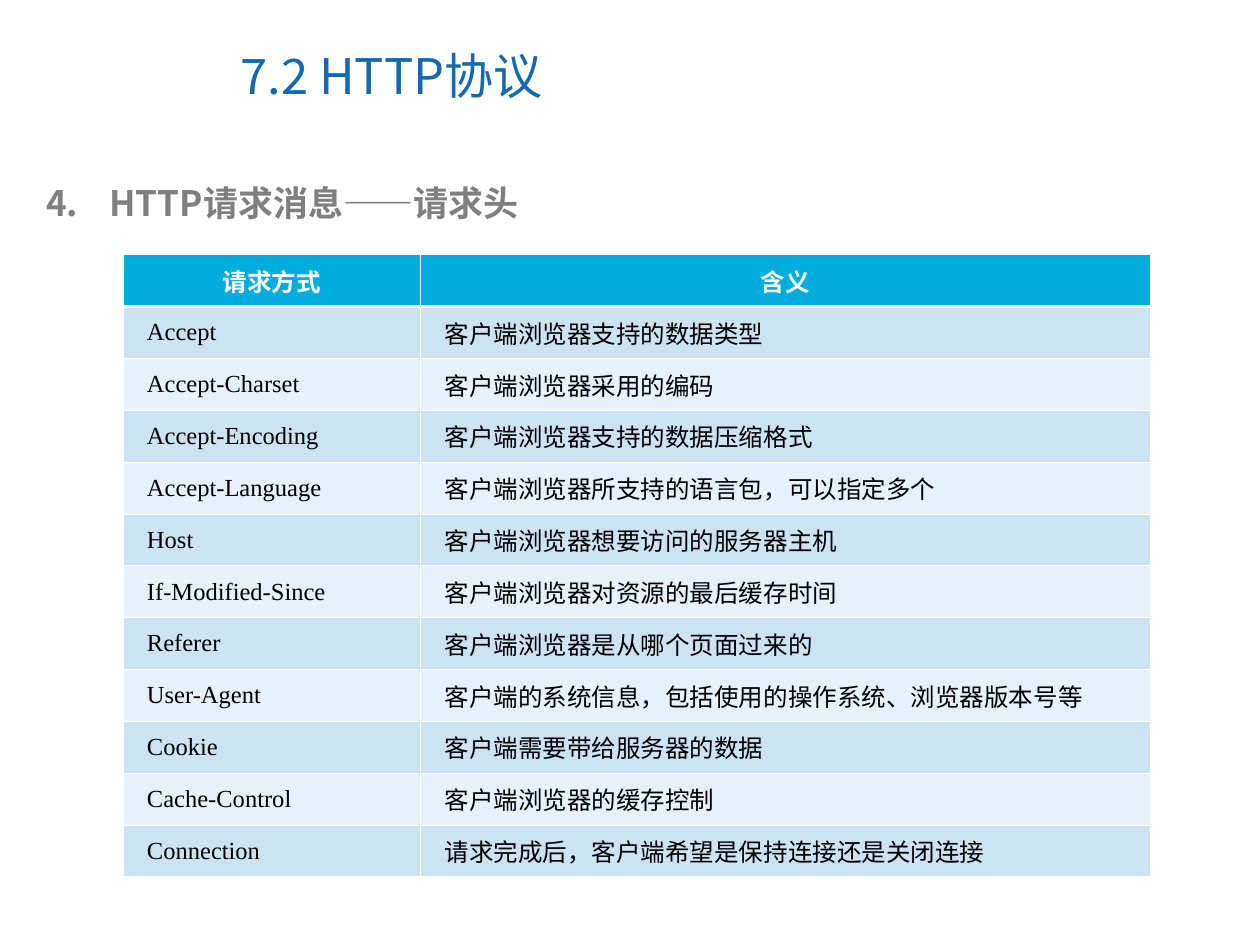
from lxml import etree
from pptx import Presentation, util as u
from pptx.dml.color import RGBColor
from pptx.enum import text
from pptx.oxml import ns

# Content
TITLE = "7.2 HTTP协议"
HEADING, HEADING_NUMBER = "HTTP请求消息——请求头", 4
COLUMNS = ("请求方式", "含义")
HEADERS = [
    ("Accept", "客户端浏览器支持的数据类型"),
    ("Accept-Charset", "客户端浏览器采用的编码"),
    ("Accept-Encoding", "客户端浏览器支持的数据压缩格式"),
    ("Accept-Language", "客户端浏览器所支持的语言包，可以指定多个"),
    ("Host", "客户端浏览器想要访问的服务器主机"),
    ("If-Modified-Since", "客户端浏览器对资源的最后缓存时间"),
    ("Referer", "客户端浏览器是从哪个页面过来的"),
    ("User-Agent", "客户端的系统信息，包括使用的操作系统、浏览器版本号等"),
    ("Cookie", "客户端需要带给服务器的数据"),
    ("Cache-Control", "客户端浏览器的缓存控制"),
    ("Connection", "请求完成后，客户端希望是保持连接还是关闭连接"),
]

THEME = {
    "cjk": "Noto Sans CJK SC", "serif": "Times New Roman", "sans": "Arial",
    "title": "1369B2", "heading": "7F7F7F", "ink": "000000", "white": "FFFFFF",
    "header": "00ADDC", "bands": ("CBE3F2", "E7F1F9"),
    "title_size": 28, "heading_size": 20, "cell_size": 14,
    "thin": 0.45, "thick": 1.47,
}

# Layout in points
TITLE_BOX = (130.3, 12.2, 371.5, 61.2)
HEADING_BOX = (19.4, 100.1, 663.8, 31.7)
TABLE_LEFT, TABLE_TOP = 70.2, 145.6
COLUMN_WIDTHS = (170, 417)
ROW_HEIGHT = 29.65
CELL_MARGIN, CELL_INDENT, HEADING_INDENT = 5.4, 8.4, 36


def add_run(paragraph, words, size, colour, font, bold=False):
    run = paragraph.add_run()
    run.text = words
    run.font.size = u.Pt(size)
    run.font.bold = bold
    run.font.color.rgb = RGBColor.from_string(colour)
    run.font.name = font
    east_asian = etree.SubElement(run.font._element, ns.qn("a:ea"))
    east_asian.set("typeface", THEME["cjk"])


def add_frame(slide, box, anchor):
    frame = slide.shapes.add_textbox(*map(u.Pt, box)).text_frame
    frame.word_wrap = True
    frame.vertical_anchor = anchor
    return frame


def indent(paragraph, left, first=0):
    properties = paragraph._p.get_or_add_pPr()
    properties.set("marL", str(u.Pt(left)))
    properties.set("indent", str(u.Pt(first)))
    return properties


def number(paragraph, start, colour):
    properties = indent(paragraph, HEADING_INDENT, -HEADING_INDENT)
    bullet_colour = etree.SubElement(properties, ns.qn("a:buClr"))
    etree.SubElement(bullet_colour, ns.qn("a:srgbClr")).set("val", colour)
    bullet = etree.SubElement(properties, ns.qn("a:buAutoNum"))
    bullet.set("type", "arabicPeriod")
    bullet.set("startAt", str(start))


def set_borders(cell, widths):
    properties = cell._tc.get_or_add_tcPr()
    for place, (side, width) in enumerate(widths.items()):
        line = etree.Element(ns.qn(f"a:ln{side}"), w=str(u.Pt(width)))
        fill = etree.SubElement(line, ns.qn("a:solidFill"))
        etree.SubElement(fill, ns.qn("a:srgbClr")).set("val", THEME["white"])
        properties.insert(place, line)


def fill_cell(cell, words, row, column):
    is_header = row == 0
    fill = THEME["header"] if is_header else THEME["bands"][(row - 1) % 2]
    cell.fill.solid()
    cell.fill.fore_color.rgb = RGBColor.from_string(fill)
    thin, thick = THEME["thin"], THEME["thick"]
    set_borders(cell, {"L": thin, "R": thin,
                       "T": thick if row == 1 else thin,
                       "B": thick if is_header else thin})
    cell.vertical_anchor = text.MSO_ANCHOR.MIDDLE
    cell.margin_left = cell.margin_right = u.Pt(CELL_MARGIN)
    paragraph = cell.text_frame.paragraphs[0]
    if is_header:
        paragraph.alignment = text.PP_ALIGN.CENTER
    else:
        indent(paragraph, CELL_INDENT)
    font = THEME["sans"] if is_header and column == 0 else THEME["serif"]
    colour = THEME["white"] if is_header else THEME["ink"]
    add_run(paragraph, words, THEME["cell_size"], colour, font, is_header)


def main():
    deck = Presentation()
    deck.slide_width, deck.slide_height = u.Pt(720), u.Pt(540)
    slide = deck.slides.add_slide(deck.slide_layouts[6])

    # Title
    title = add_frame(slide, TITLE_BOX, text.MSO_ANCHOR.MIDDLE).paragraphs[0]
    add_run(title, TITLE, THEME["title_size"], THEME["title"], THEME["cjk"])

    # Numbered heading
    heading = add_frame(slide, HEADING_BOX, text.MSO_ANCHOR.TOP).paragraphs[0]
    number(heading, HEADING_NUMBER, THEME["heading"])
    add_run(heading, HEADING, THEME["heading_size"], THEME["heading"], THEME["cjk"], True)

    # Table of request headers
    rows = [COLUMNS, *HEADERS]
    table = slide.shapes.add_table(
        len(rows), len(COLUMNS), u.Pt(TABLE_LEFT), u.Pt(TABLE_TOP),
        u.Pt(sum(COLUMN_WIDTHS)), u.Pt(ROW_HEIGHT * len(rows))).table
    for column, width in zip(table.columns, COLUMN_WIDTHS):
        column.width = u.Pt(width)
    for r, row in enumerate(rows):
        table.rows[r].height = u.Pt(ROW_HEIGHT)
        for c, words in enumerate(row):
            fill_cell(table.cell(r, c), words, r, c)

    deck.save("out.pptx")


if __name__ == "__main__":
    main()
